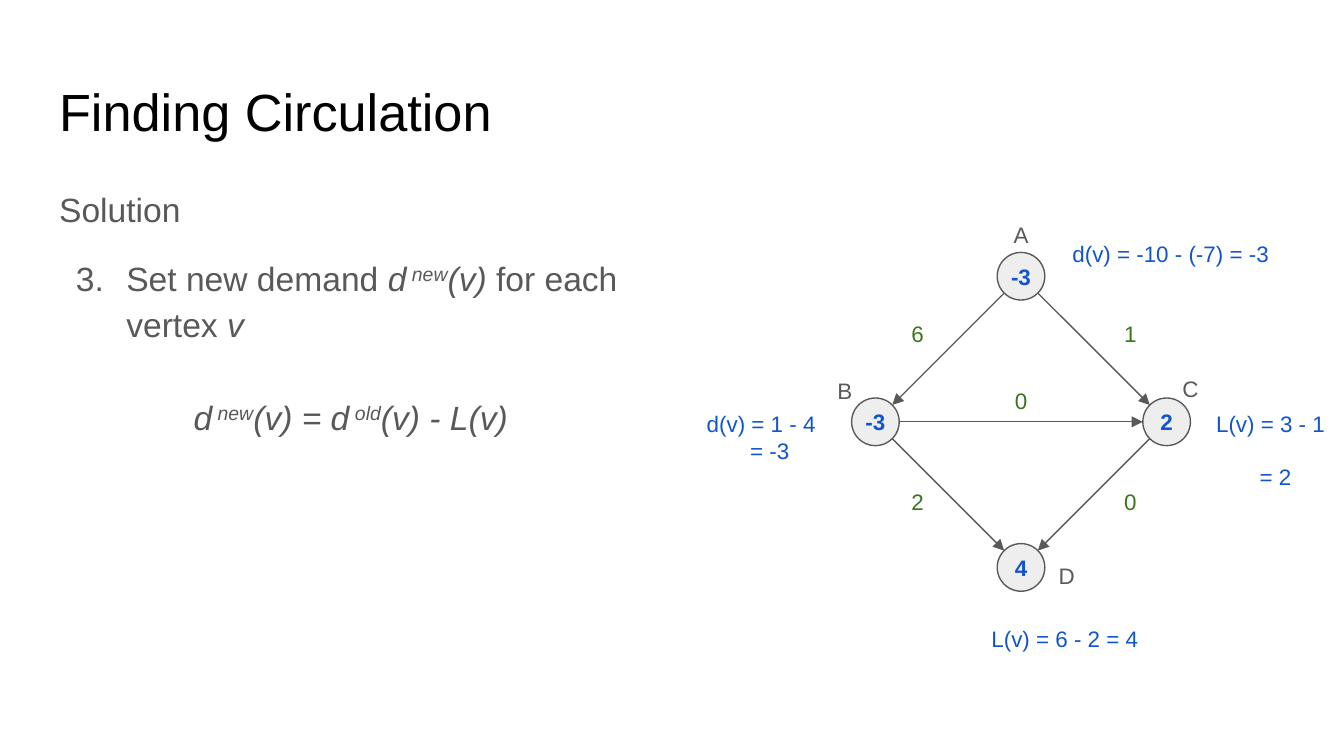
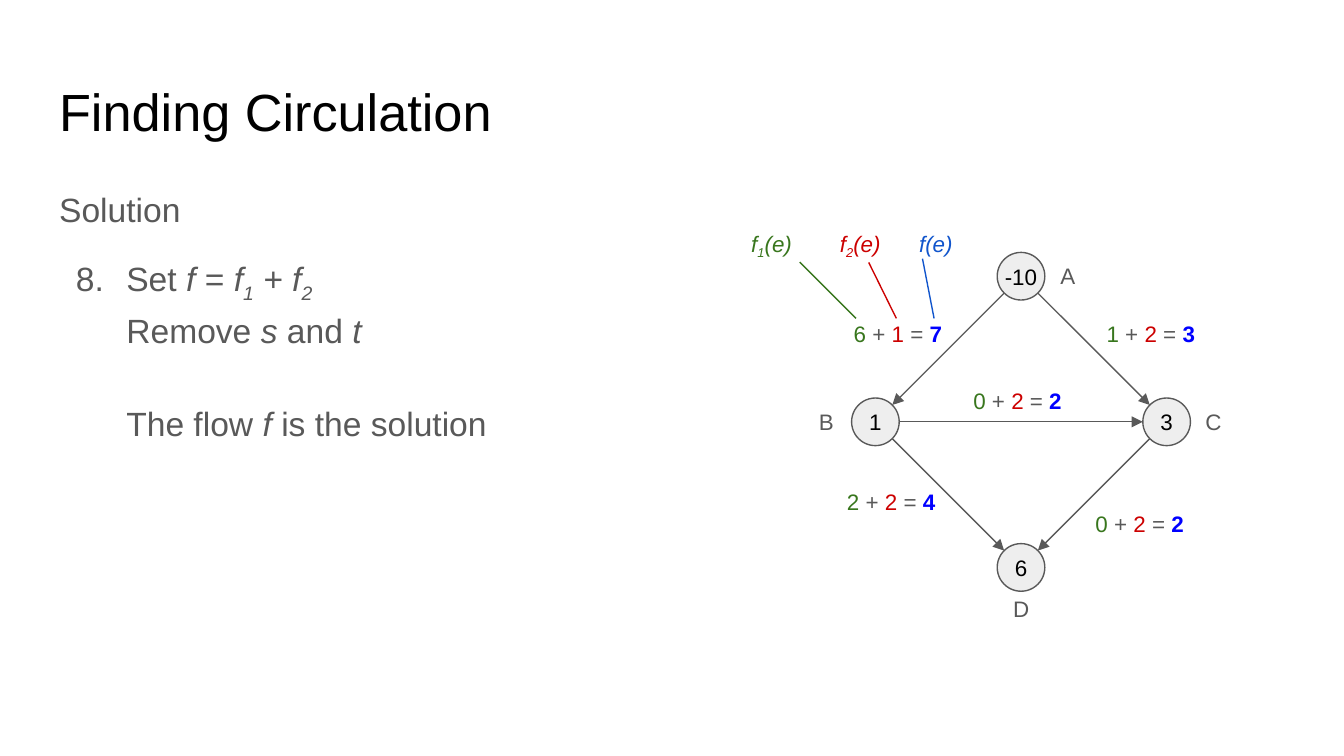
from dataclasses import dataclass
from math import hypot

from lxml.etree import SubElement
from pptx import Presentation
from pptx.dml.color import RGBColor
from pptx.enum.shapes import MSO_CONNECTOR, MSO_SHAPE
from pptx.enum.text import MSO_ANCHOR as ANCHOR, MSO_AUTO_SIZE, PP_ALIGN as ALIGN
from pptx.oxml.ns import qn
from pptx.util import Pt

# Shared look
FONT = "Arial"
BLACK = RGBColor(0x00, 0x00, 0x00)
GRAY = RGBColor(0x59, 0x59, 0x59)
PALE = RGBColor(0xEE, 0xEE, 0xEE)
BLUE = RGBColor(0x11, 0x55, 0xCC)
BRIGHT_BLUE = RGBColor(0x00, 0x00, 0xFF)
GREEN = RGBColor(0x38, 0x76, 0x1D)
RED = RGBColor(0xCC, 0x00, 0x00)
TITLE_SIZE, BODY_SIZE, GRAPH_SIZE = 28, 18, 12
INSET = 7.2
BLANK_LINE = 25
STEP_INDENT, FORMULA_INDENT = 36, 72

# Diamond graph
CENTER_X, CENTER_Y, REACH = 547, 226, 78
NODE_SIZE = 25.5
NODES = {
    "A": (CENTER_X, CENTER_Y - REACH),
    "D": (CENTER_X, CENTER_Y + REACH),
    "B": (CENTER_X - REACH, CENTER_Y),
    "C": (CENTER_X + REACH, CENTER_Y),
}
EDGES = ["AB", "AC", "BD", "CD", "BC"]


@dataclass
class Span:
    text: str
    color: RGBColor = GRAY
    bold: bool = False
    italic: bool = False
    baseline: int = 0


def em(text, color=GRAY):
    return Span(text, color, italic=True)


def sup(text):
    return Span(text, italic=True, baseline=30000)


def sub(text, color=GRAY):
    return Span(text, color, italic=True, baseline=-25000)


# Text
def write(para, spans, size, align=ALIGN.LEFT):
    para.alignment = align
    para.font.name = FONT
    para.font.size = Pt(size)
    for span in spans:
        run = para.add_run()
        run.text = span.text
        run.font.color.rgb = span.color
        run.font.bold = span.bold
        run.font.italic = span.italic
        if span.baseline:
            run.font._element.set("baseline", str(span.baseline))


def set_indent(para, left, first=0):
    props = para._p.get_or_add_pPr()
    props.set("marL", str(Pt(left)))
    props.set("indent", str(Pt(first)))
    return props


def prepare_frame(frame, anchor=ANCHOR.TOP, side_inset=INSET):
    frame.word_wrap = True
    frame.auto_size = MSO_AUTO_SIZE.NONE
    frame.vertical_anchor = anchor
    frame.margin_left = frame.margin_right = Pt(side_inset)
    frame.margin_top = frame.margin_bottom = Pt(INSET)


def place(shape, left, top, width, height):
    shape.left, shape.top = Pt(left), Pt(top)
    shape.width, shape.height = Pt(width), Pt(height)


def add_text(shapes, left, top, width, height, spans,
             anchor=ANCHOR.TOP, align=ALIGN.LEFT):
    box = shapes.add_textbox(Pt(left), Pt(top), Pt(width), Pt(height))
    prepare_frame(box.text_frame, anchor)
    write(box.text_frame.paragraphs[0], spans, GRAPH_SIZE, align)
    return box


def add_centered(shapes, left, top, width, height, spans):
    add_text(shapes, left, top, width, height, spans, ANCHOR.MIDDLE, ALIGN.CENTER)


# Title and body placeholders
def add_page(deck):
    page = deck.slides.add_slide(deck.slide_layouts[1])
    title = page.shapes.title
    place(title, 24.5, 35, 671, 45)
    prepare_frame(title.text_frame)
    write(title.text_frame.paragraphs[0],
          [Span("Finding Circulation", BLACK)], TITLE_SIZE)
    return page


def add_body_line(para, spans, left=0, gap=0, number=None):
    para.line_spacing = 1.15
    para.space_before = Pt(gap)
    props = set_indent(para, left, -27 if number else 0)
    if number:
        color = SubElement(props, qn("a:buClr"))
        SubElement(color, qn("a:srgbClr"), val=str(GRAY))
        SubElement(props, qn("a:buFont"), typeface=FONT)
        SubElement(props, qn("a:buAutoNum"), type="arabicPeriod",
                   startAt=str(number))
    else:
        SubElement(props, qn("a:buNone"))
    write(para, spans, BODY_SIZE)


def add_solution(page, width, number, step, followers):
    body = page.placeholders[1]
    place(body, 24.5, 90.7, width, 269)
    frame = body.text_frame
    prepare_frame(frame)
    add_body_line(frame.paragraphs[0], [Span("Solution")])
    add_body_line(frame.add_paragraph(), step, STEP_INDENT, 12, number)
    for spans, left, gap in followers:
        add_body_line(frame.add_paragraph(), spans, left, gap)


# Graph
def add_line(shapes, start, end, color, arrow=False):
    line = shapes.add_connector(MSO_CONNECTOR.STRAIGHT,
                                *(Pt(value) for value in (*start, *end)))
    line.line.color.rgb = color
    line.line.width = Pt(0.75)
    if arrow:
        SubElement(line.line._get_or_add_ln(), qn("a:tailEnd"), type="triangle")
    SubElement(line._element.spPr, qn("a:effectLst"))


def add_node(shapes, x, y, span):
    node = shapes.add_shape(MSO_SHAPE.OVAL, Pt(x - NODE_SIZE / 2),
                            Pt(y - NODE_SIZE / 2), Pt(NODE_SIZE), Pt(NODE_SIZE))
    node.shadow.inherit = False
    node.fill.solid()
    node.fill.fore_color.rgb = PALE
    node.line.color.rgb = GRAY
    node.line.width = Pt(0.75)
    prepare_frame(node.text_frame, ANCHOR.MIDDLE, side_inset=0)
    write(node.text_frame.paragraphs[0], [span], GRAPH_SIZE, ALIGN.CENTER)


def add_edge(shapes, source, target):
    (x1, y1), (x2, y2) = NODES[source], NODES[target]
    trim = NODE_SIZE / 2 / hypot(x2 - x1, y2 - y1)
    dx, dy = (x2 - x1) * trim, (y2 - y1) * trim
    add_line(shapes, (x1 + dx, y1 + dy), (x2 - dx, y2 - dy), GRAY, arrow=True)


def add_graph(page, demands, weights, names):
    graph = page.shapes.add_group_shape().shapes
    for name, (x, y) in NODES.items():
        add_node(graph, x, y, demands[name])
    for source, target in EDGES:
        add_edge(graph, source, target)
    for left, top, width, spans in weights:
        add_centered(graph, left, top, width, 27.4, spans)
    for name, (left, top) in names.items():
        add_centered(page.shapes, left, top, 24, 18.7, [Span(name)])


def flow_sum(first, second):
    return [Span(str(first), GREEN), Span(" + "), Span(str(second), RED),
            Span(" = "), Span(str(first + second), BRIGHT_BLUE, bold=True)]


# Slides
def add_demand_page(deck):
    page = add_page(deck)
    step = [Span("Set new demand "), em("d"), sup(" new"), em("(v)"),
            Span(" for each vertex "), em("v")]
    formula = [em("d"), sup(" new"), em("(v) = d"), sup(" old"), em("(v) - L(v)")]
    add_solution(page, 341.5, 3, step, [(formula, FORMULA_INDENT, BLANK_LINE)])

    demands = {"A": "-3", "B": "-3", "C": "2", "D": "4"}
    weights = [(470, 165, "6"), (525.5, 201, "0"), (584, 165, "1"),
               (584, 255, "0"), (470, 255, "2")]
    add_graph(
        page,
        {name: Span(text, BLUE, bold=True) for name, text in demands.items()},
        [(left, top, 43, [Span(text, GREEN)]) for left, top, text in weights],
        {"A": (535, 116.6), "B": (440.6, 200), "C": (625.7, 198.7),
         "D": (559.4, 298.8)})

    # Demand calculations beside the nodes
    notes = [
        (567.4, 121.7, 123, 27.4, "d(v) = -10 - (-7) = -3", None, 0),
        (371.5, 212.4, 79, 36.7, "d(v) = 1 - 4", "= -3", 0),
        (644.4, 212.4, 73, 36.7, "L(v) = 3 - 1", "= 2", 14),
        (524, 327.6, 104.4, 27.4, "L(v) = 6 - 2 = 4", None, 0),
    ]
    for left, top, width, height, text, result, gap in notes:
        box = add_text(page.shapes, left, top, width, height, [Span(text, BLUE)])
        if result:
            para = box.text_frame.add_paragraph()
            para.space_before = Pt(gap)
            set_indent(para, 23.3)
            write(para, [Span(result, BLUE)], GRAPH_SIZE)


def add_flow_page(deck):
    page = add_page(deck)
    step = [Span("Set "), em("f"), Span(" = "), em("f"), sub("1"),
            em(" + f"), sub("2")]
    remove = [Span("Remove "), em("s "), Span("and "), em("t")]
    result = [Span("The flow "), em("f"), Span(" is the solution")]
    add_solution(page, 349, 8, step, [(remove, STEP_INDENT, 0),
                                      (result, STEP_INDENT, BLANK_LINE)])

    demands = {"A": "-10", "B": "1", "C": "3", "D": "6"}
    add_graph(
        page,
        {name: Span(text, BLACK) for name, text in demands.items()},
        [(448.5, 165, 65, flow_sum(6, 1)), (512.6, 201, 65, flow_sum(0, 2)),
         (578, 267, 65, flow_sum(0, 2)), (441.4, 255, 72, flow_sum(2, 2)),
         (584, 165, 65, flow_sum(1, 2))],
        {"A": (560, 138.2), "B": (430.6, 216.7), "C": (638, 216.7),
         "D": (535, 316.8)})

    # Legend with pointers to the terms of one sum
    legend = [
        (395.3, GREEN, "1", (458.6, 170.6), (428.4, 140.4)),
        (442.8, RED, "2", (480.2, 170.6), (465.4, 140.6)),
        (485.3, BLUE, "", (500.4, 170.6), (494.2, 138.6)),
    ]
    for left, color, index, start, end in legend:
        add_line(page.shapes, start, end, color)
        spans = [em("f", color), sub(index, color), em("(e)", color)]
        add_text(page.shapes, left, 116, 37, 27.4,
                 [span for span in spans if span.text])


def main():
    deck = Presentation()
    deck.slide_width, deck.slide_height = Pt(720), Pt(405)
    add_demand_page(deck)
    add_flow_page(deck)
    deck.save("out.pptx")


if __name__ == "__main__":
    main()
